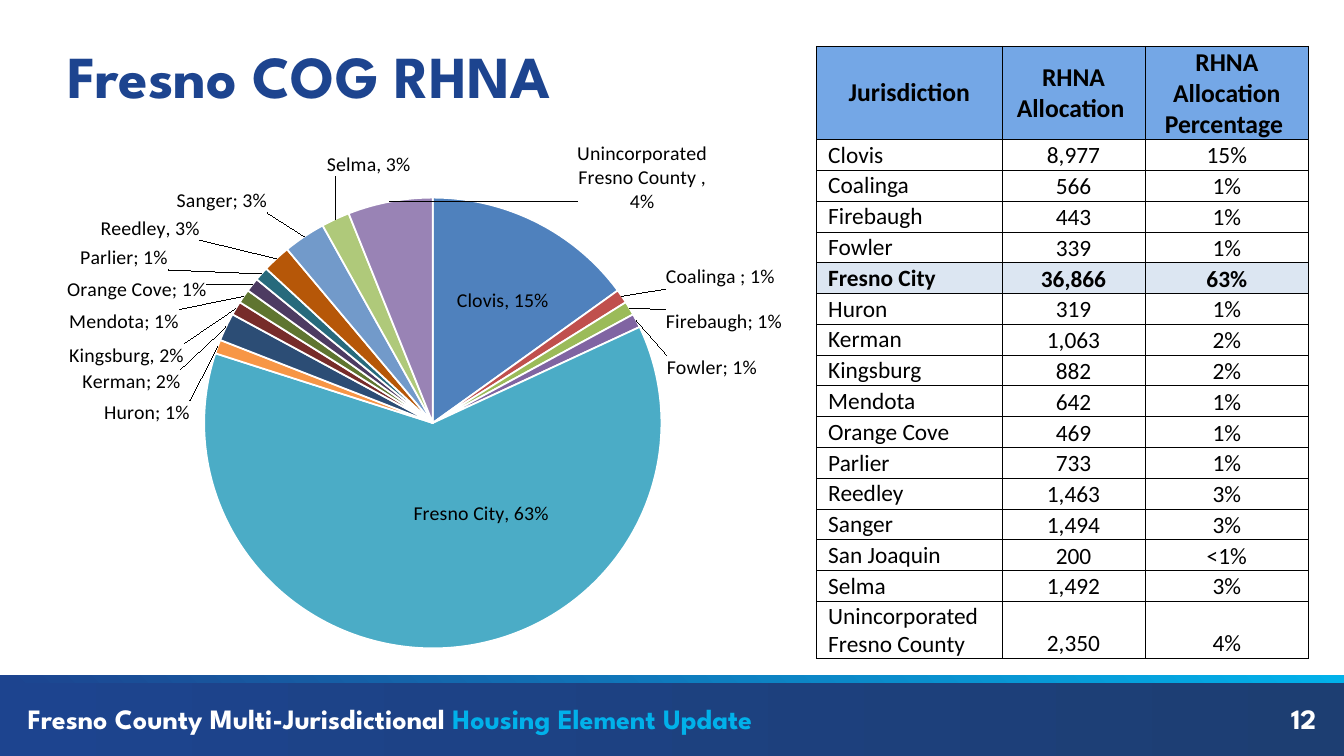
import math
from dataclasses import dataclass

from lxml import etree
from pptx import Presentation
from pptx.chart import data as cd
from pptx.dml.color import RGBColor
from pptx.enum import chart as ec, shapes, text
from pptx.oxml import ns
from pptx.util import Inches, Pt


@dataclass(frozen=True)
class Theme:
    head_font: str = "League Spartan"
    body_font: str = "Calibri"
    navy: str = "1D448F"
    deep: str = "1D3E72"
    cyan: str = "01B1EA"
    white: str = "FFFFFF"
    black: str = "000000"
    head_fill: str = "74A7E6"
    row_fill: str = "DCE6F2"
    title: int = 51
    footer: int = 24
    table_head: int = 22
    table_body: int = 20
    label: int = 17


T = Theme()

# Category, share, colour, fixed label text, label anchor corner (slide inches)
SLICES = [
    ("Clovis ", 0.15, "4F81BD", "Clovis, 15%", (5.44, 3.65)),
    ("Coalinga ", 0.01, "C0504D", None, (7.93, 3.36)),
    ("Firebaugh", 0.01, "9BBB59", None, (7.93, 3.9)),
    ("Fowler", 0.01, "8064A2", None, (7.94, 4.45)),
    ("Fresno City", 0.62, "4BACC6", "Fresno City, 63%", (5.73, 5.93)),
    ("Huron", 0.01, "F79646", None, (2.26, 5.0)),
    ("Kerman", 0.02, "2C4D75", None, (2.15, 4.62)),
    ("Kingsburg", 0.01, "772C2A", "Kingsburg, 2%", (2.19, 4.31)),
    ("Mendota", 0.01, "5F7530", None, (2.13, 3.9)),
    ("Orange Cove", 0.01, "4D3B62", None, (2.46, 3.51)),
    ("Parlier", 0.01, "276A7C", None, (2.0, 3.13)),
    ("Reedley", 0.02, "B65708", "Reedley, 3%", (2.38, 2.77)),
    ("Sanger", 0.03, "729ACA", None, (3.18, 2.44)),
    ("San Joaquin", 0, "CD7371", None, None),
    ("Selma ", 0.02, "AFC97A", "Selma, 3%", (4.89, 2.0)),
    ("Unincorporated Fresno County ", 0.06, "9983B5",
     "Unincorporated Fresno County , 4%", (8.42, 2.45)),
]

ROWS = [
    ("Jurisdiction", "RHNA Allocation ", "RHNA Allocation Percentage "),
    ("Clovis", "8,977", "15%"),
    ("Coalinga", "566", "1%"),
    ("Firebaugh", "443", "1%"),
    ("Fowler", "339", "1%"),
    ("Fresno City", "36,866", "63%"),
    ("Huron", "319", "1%"),
    ("Kerman", "1,063", "2%"),
    ("Kingsburg", "882", "2%"),
    ("Mendota", "642", "1%"),
    ("Orange Cove", "469", "1%"),
    ("Parlier", "733", "1%"),
    ("Reedley", "1,463", "3%"),
    ("Sanger", "1,494", "3%"),
    ("San Joaquin", "200", "<1%"),
    ("Selma", "1,492", "3%"),
    ("Unincorporated Fresno County", "2,350", "4%"),
]


def rgb(value):
    return RGBColor.from_string(value)


def inches(*values):
    return [Inches(v) for v in values]


def set_font(font, size, color, name=T.body_font, bold=False):
    font.size, font.name, font.bold = Pt(size), name, bold
    font.color.rgb = rgb(color)


def sub(parent, tag, **attrs):
    return etree.SubElement(parent, ns.qn(tag), attrs)


def add_text(slide, box, runs, size, align=text.PP_ALIGN.LEFT):
    tf = slide.shapes.add_textbox(*inches(*box)).text_frame
    tf.word_wrap = True
    tf.vertical_anchor = text.MSO_ANCHOR.MIDDLE
    tf.margin_left = tf.margin_right = tf.margin_top = tf.margin_bottom = 0
    p = tf.paragraphs[0]
    p.alignment = align
    set_font(p.font, size, runs[0][1], T.head_font, True)
    for words, color in runs:
        r = p.add_run()
        r.text = words
        r.font.color.rgb = rgb(color)


def add_band(slide, box, start, end, angle):
    sp = slide.shapes.add_shape(shapes.MSO_SHAPE.RECTANGLE, *inches(*box))
    sp.shadow.inherit = False
    sp.line.fill.background()
    sp.fill.gradient()
    sp.fill.gradient_angle = angle
    for stop, color in zip(sp.fill.gradient_stops, (start, end)):
        stop.color.rgb = rgb(color)


def add_footer(slide, box):
    x, y, w, h = box
    add_band(slide, box, T.navy, T.deep, 0)
    add_text(slide, (x + 0.33, y + 0.19, w - 3, 0.55),
             [("Fresno County Multi-Jurisdictional ", T.white),
              ("Housing Element Update", T.cyan)], T.footer)
    add_band(slide, (x, y - 0.04, w, 0.08), T.navy, T.cyan, 45)
    add_text(slide, (x + w - 2.33, y + 0.19, 2, 0.55), [("12", T.white)],
             T.footer, text.PP_ALIGN.RIGHT)


def set_layout(parent, index, **settings):
    """Put a manual layout into a chart element."""
    for old in parent.findall(ns.qn("c:layout")):
        parent.remove(old)
    layout = etree.Element(ns.qn("c:layout"))
    manual = sub(layout, "c:manualLayout")
    for tag, val in settings.items():
        sub(manual, "c:" + tag, val=str(val))
    parent.insert(index, layout)


def add_pie(slide, box):
    x, y, w, h = box
    px, py, pw, ph = 0.216, 0.103, 0.588, 0.722
    data = cd.CategoryChartData(number_format="0%")
    data.categories = [s[0] for s in SLICES]
    data.add_series("Series 1", [s[1] for s in SLICES])
    chart = slide.shapes.add_chart(ec.XL_CHART_TYPE.PIE, *inches(*box), data).chart
    chart.has_legend = chart.has_title = False
    set_font(chart.font, 10, T.black)
    plot = chart.plots[0]
    plot.vary_by_categories = True
    set_layout(chart._chartSpace.chart.plotArea, 0, layoutTarget="inner",
               xMode="edge", yMode="edge", x=px, y=py, w=pw, h=ph)
    series = plot.series[0]
    labels = series.data_labels
    set_font(labels.font, T.label, T.black)
    labels.show_value = False

    # Slices, with each label moved from the pie's edge to its anchor
    radius = min(pw * w, ph * h) / 2 + 0.06
    cx, cy = x + (px + pw / 2) * w, y + (py + ph / 2) * h
    total, done = sum(s[1] for s in SLICES), 0
    for i, (name, share, color, words, anchor) in enumerate(SLICES):
        point = series.points[i]
        point.format.fill.solid()
        point.format.fill.fore_color.rgb = rgb(color)
        point.format.line.color.rgb = rgb(T.white)
        point.format.line.width = Pt(1.5)
        angle = 2 * math.pi * (done + share / 2) / total
        done += share
        if anchor is None:
            continue
        label = point.data_label
        if words:
            p = label.text_frame.paragraphs[0]
            r = p.add_run()
            r.text = words
            set_font(r.font, T.label, T.black)
        else:
            set_font(label.font, T.label, T.black)
        label.position = ec.XL_LABEL_POSITION.BEST_FIT
        d = series._element.xpath(f'.//c:dLbl[c:idx/@val="{i}"]')[0]
        set_layout(d, 1, x=round((anchor[0] - cx - radius * math.sin(angle)) / w, 4),
                   y=round((anchor[1] - cy + radius * math.cos(angle)) / h, 4))
        d.find(ns.qn("c:showCatName")).set("val", "1")
        sub(d, "c:separator").text = "; "


def add_border(cell):
    pr = cell._tc.get_or_add_tcPr()
    for i, side in enumerate(("a:lnL", "a:lnR", "a:lnT", "a:lnB")):
        ln = etree.Element(ns.qn(side), w=str(Pt(0.5)))
        sub(sub(ln, "a:solidFill"), "a:srgbClr", val=T.black)
        pr.insert(i, ln)


def add_allocations(slide, box):
    table = slide.shapes.add_table(len(ROWS), 3, *inches(*box)).table
    table.first_row = table.horz_banding = False
    for col, width in zip(table.columns, (2.21, 1.7, 1.95)):
        col.width = Inches(width)
    head, last = 1.1, 0.67
    body = (box[3] - head - last) / (len(ROWS) - 2)
    heights = [head] + [body] * (len(ROWS) - 2) + [last]
    for i, (values, height) in enumerate(zip(ROWS, heights)):
        table.rows[i].height = Inches(height)
        strong = values[0] == "Fresno City"
        for j, value in enumerate(values):
            cell = table.cell(i, j)
            cell.margin_left = cell.margin_right = cell.margin_top = Inches(0.01)
            cell.margin_bottom = 0
            middle = i == 0 or j == 0
            cell.vertical_anchor = text.MSO_ANCHOR.MIDDLE if middle else text.MSO_ANCHOR.BOTTOM
            if i == 0 or strong:
                cell.fill.solid()
                cell.fill.fore_color.rgb = rgb(T.row_fill if strong else T.head_fill)
            else:
                cell.fill.background()
            add_border(cell)
            p = cell.text_frame.paragraphs[0]
            p.text = value
            if i and j == 0:
                p._p.get_or_add_pPr().set("marL", str(Inches(0.13)))
            else:
                p.alignment = text.PP_ALIGN.CENTER
            set_font(p.font, T.table_body if i else T.table_head, T.black,
                     bold=i == 0 or strong)


def main():
    prs = Presentation()
    prs.slide_width, prs.slide_height = inches(16, 9)
    slide = prs.slides.add_slide(prs.slide_layouts[6])
    add_footer(slide, (0, 8.08, 16, 0.92))
    add_text(slide, (0.8, 0.56, 14.4, 0.66), [("Fresno COG RHNA", T.navy)], T.title)
    add_pie(slide, (0.42, 1.48, 9.28, 7.54))
    add_allocations(slide, (9.72, 0.55, 5.86, 7.27))
    prs.save("out.pptx")


if __name__ == "__main__":
    main()
